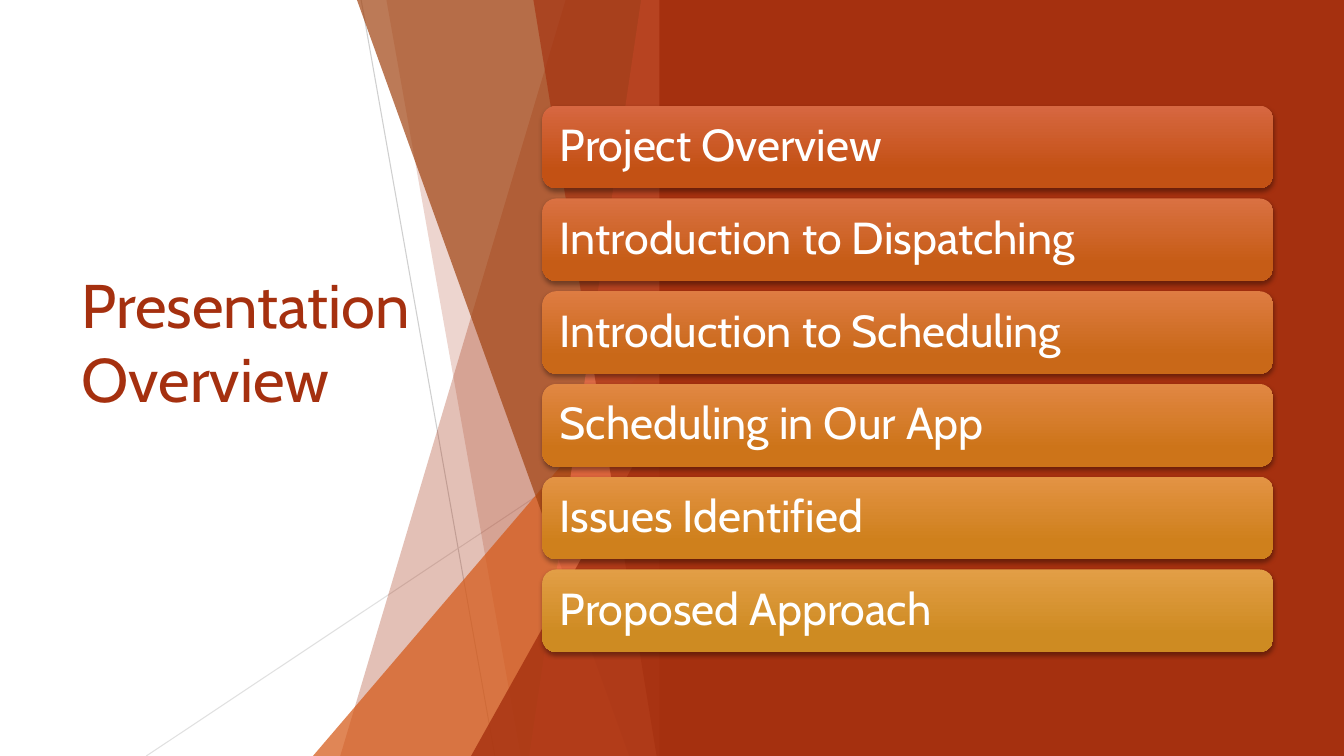
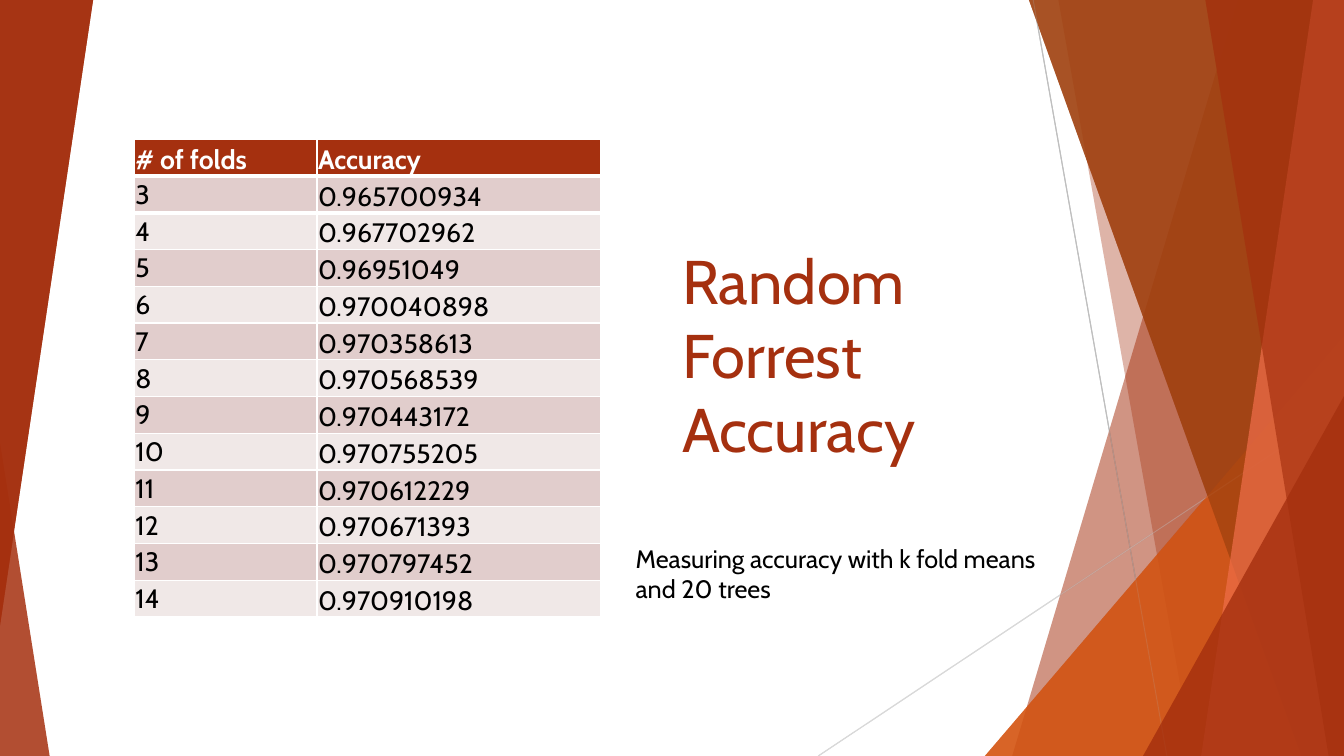
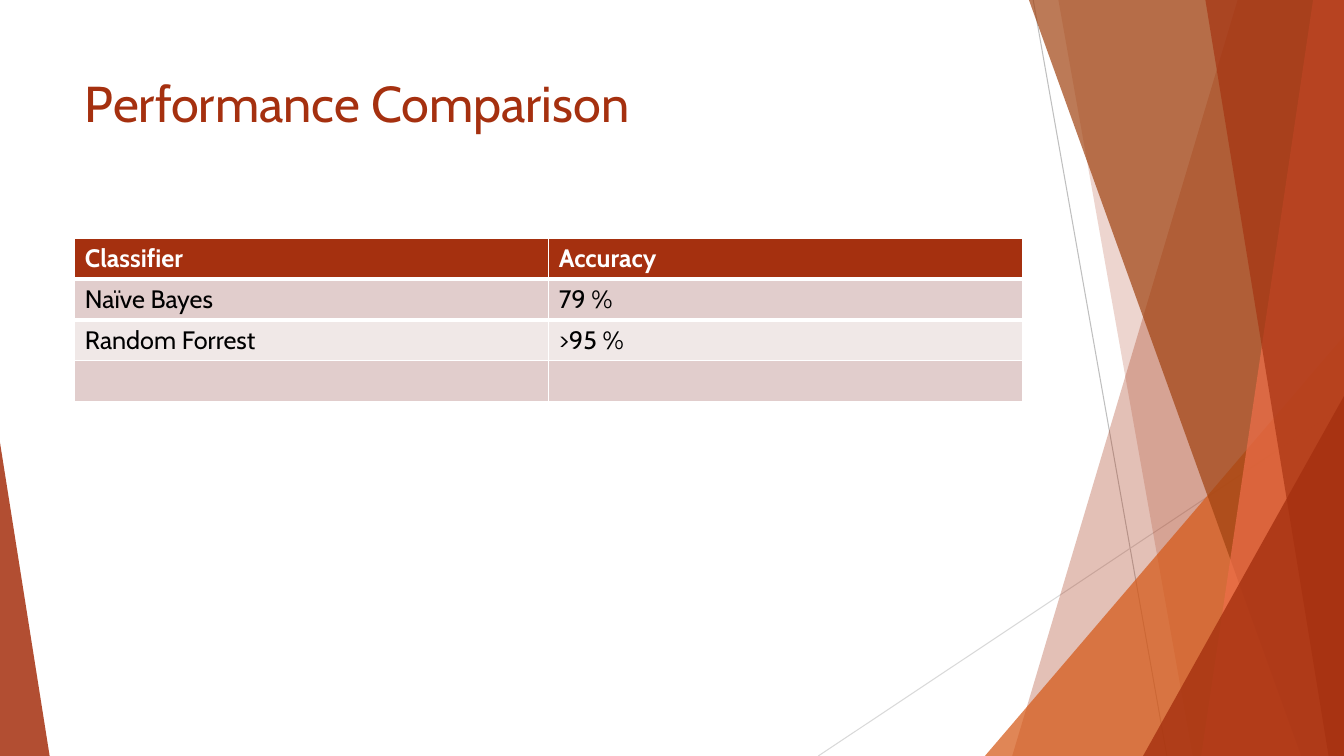
"""Build three slides on classifier accuracy with a shared faceted background."""
import lxml.etree
import pptx
import pptx.dml.color
import pptx.enum.shapes
import pptx.enum.text
import pptx.oxml.ns
import pptx.util

Pt = pptx.util.Pt
qn = pptx.oxml.ns.qn
SHAPE = pptx.enum.shapes.MSO_SHAPE
ANCHOR = pptx.enum.text.MSO_ANCHOR
LEFT = pptx.enum.text.PP_ALIGN.LEFT

WIDTH, HEIGHT = 960, 540
FONT = "Cabin"
RUST, ORANGE, BROWN, CORAL = "A5300F", "D55816", "A04210", "EE6E4A"
WHITE, BLACK = "FFFFFF", "000000"
ROW_FILLS = ("E1CDCC", "F0E8E7")
TITLE_ONLY = 5

AGENDA = [
    ("Project Overview", "D76741", "C35114"),
    ("Introduction to Dispatching", "DA7142", "C65C16"),
    ("Introduction to Scheduling", "DE7C42", "C96818"),
    ("Scheduling in Our App", "E18743", "CD7419"),
    ("Issues Identified", "E39344", "CF801C"),
    ("Proposed Approach", "E29E46", "CE8B22"),
]
FOLD_ACCURACIES = [
    "0.965700934", "0.967702962", "0.96951049", "0.970040898",
    "0.970358613", "0.970568539", "0.970443172", "0.970755205",
    "0.970612229", "0.970671393", "0.970797452", "0.970910198",
]
CLASSIFIERS = [
    ("Classifier", "Accuracy"),
    ("Naïve Bayes", "79 %"),
    ("Random Forrest", ">95 %"),
    ("", ""),
]


def color(value):
    """Turn a hex string into a colour."""
    return pptx.dml.color.RGBColor.from_string(value)


def box(*lengths):
    """Convert lengths in points."""
    return [Pt(length) for length in lengths]


def paint(fill, value, alpha=100):
    """Give a fill a solid colour with an opacity in percent."""
    fill.solid()
    fill.fore_color.rgb = color(value)
    if alpha < 100:
        for node in fill._xPr.find(qn("a:solidFill")):
            lxml.etree.SubElement(node, qn("a:alpha"), val=str(alpha * 1000))


def plain(shape, value, alpha=100):
    """Leave a shape with only a solid fill."""
    shape.shadow.inherit = False
    shape.line.fill.background()
    paint(shape.fill, value, alpha)


def format_text(frame, size, value, bold=False):
    """Align the text left and format every run."""
    frame.word_wrap = True
    for paragraph in frame.paragraphs:
        paragraph.alignment = LEFT
        for run in paragraph.runs:
            run.font.name = FONT
            run.font.size = Pt(size)
            run.font.bold = bold
            run.font.color.rgb = color(value)


def set_title(slide, text, bounds, size, anchor):
    """Fill, move and format the title placeholder."""
    title = slide.shapes.title
    title.left, title.top, title.width, title.height = box(*bounds)
    frame = title.text_frame
    frame.text = text
    frame.auto_size = pptx.enum.text.MSO_AUTO_SIZE.NONE
    frame.vertical_anchor = anchor
    format_text(frame, size, RUST)
    return frame


def add_rectangle(shapes, bounds, value):
    """Add a plain rectangle."""
    plain(shapes.add_shape(SHAPE.RECTANGLE, *box(*bounds)), value)


def add_triangle(shapes, bounds, value, alpha, apex=1, rotation=0):
    """Add a right-angled triangle."""
    triangle = shapes.add_shape(SHAPE.ISOSCELES_TRIANGLE, *box(*bounds))
    triangle.adjustments[0] = apex
    triangle.rotation = rotation
    plain(triangle, value, alpha)


def add_band(shapes, top_left, bottom_left, shift, value, alpha):
    """Add a slanted band that reaches the right edge of the facets."""
    right = WIDTH + shift
    builder = shapes.build_freeform(Pt(top_left + shift), 0)
    builder.add_line_segments([
        box(right, 0), box(right, HEIGHT), box(bottom_left + shift, HEIGHT)])
    plain(builder.convert_to_shape(), value, alpha)


def add_thin_line(shapes, ends, value, alpha):
    """Add a hairline without shadow."""
    connector = shapes.add_connector(
        pptx.enum.shapes.MSO_CONNECTOR.STRAIGHT, *box(*ends))
    connector.line.width = Pt(0.75)
    paint(connector.line.fill, value, alpha)
    lxml.etree.SubElement(connector._element.spPr, qn("a:effectLst"))


def add_facets(slide, shift=0, line_alphas=(100, 100)):
    """Add the group of translucent facets, moved sideways by shift."""
    group = slide.shapes.add_group_shape()
    shapes = group.shapes
    add_thin_line(shapes, (738 + shift, 0, 833.5 + shift, HEIGHT),
                  "BFBFBF", line_alphas[0])
    add_thin_line(shapes, (WIDTH + shift, 290, 584.5 + shift, HEIGHT),
                  "D9D9D9", line_alphas[1])
    add_band(shapes, 884, 723, shift, RUST, 30)
    add_band(shapes, 756, 852, shift, RUST, 20)
    add_triangle(shapes, (703.5 + shift, 240, 256.5, 300), ORANGE, 72)
    add_band(shapes, 735, 929.5, shift, BROWN, 70)
    add_band(shapes, 938, 858, shift, CORAL, 70)
    add_band(shapes, 861, 949, shift, RUST, 65)
    add_triangle(shapes, (816.5 + shift, 283, 143.5, 257), RUST, 80)
    return group


def set_master_background(presentation, slide):
    """Build the facets on a slide and move them to the slide master."""
    group = add_facets(slide)
    add_triangle(group.shapes, (0, 316, 35.5, 224), RUST, 85, apex=0)
    for number, node in enumerate(group._element.iter(qn("p:cNvPr")), 100):
        node.set("id", str(number))
    presentation.slide_master.shapes._spTree.insert(2, group._element)


def add_agenda_bar(slide, top, text, start, end):
    """Add one rounded bar with a gradient, a soft shadow and its text."""
    bar = slide.shapes.add_shape(
        SHAPE.ROUNDED_RECTANGLE, *box(387.5, top, 522, 59))
    bar.line.fill.background()
    bar.fill.gradient()
    bar.fill.gradient_angle = 270
    for stop, value, position in zip(
            bar.fill.gradient_stops, (start, end), (0, 0.78)):
        stop.color.rgb = color(value)
        stop.position = position
    bar.shadow.inherit = False
    shadow = lxml.etree.SubElement(
        bar._element.spPr.find(qn("a:effectLst")), qn("a:outerShdw"),
        blurRad=str(Pt(3)), dist=str(Pt(2)), dir="5400000", rotWithShape="0")
    shade = lxml.etree.SubElement(shadow, qn("a:srgbClr"), val=BLACK)
    lxml.etree.SubElement(shade, qn("a:alpha"), val="35000")
    frame = bar.text_frame
    frame.text = text
    frame.margin_left = frame.margin_right = Pt(9.5)
    frame.vertical_anchor = ANCHOR.MIDDLE
    frame.paragraphs[0].line_spacing = 0.9
    format_text(frame, 32, WHITE)


def set_edge(cell, side, width):
    """Draw one white edge of a table cell."""
    edge = lxml.etree.Element(qn(f"a:{side}"), w=str(Pt(width)))
    fill = lxml.etree.SubElement(edge, qn("a:solidFill"))
    lxml.etree.SubElement(fill, qn("a:srgbClr"), val=WHITE)
    cell._tc.get_or_add_tcPr().insert(0, edge)


def add_table(slide, rows, position, widths, row_height, size):
    """Add a table with a rust header and banded rows, and return it."""
    table = slide.shapes.add_table(
        len(rows), len(widths),
        *box(*position, sum(widths), row_height * len(rows))).table
    for column, width in zip(table.columns, widths):
        column.width = Pt(width)
    for index, values in enumerate(rows):
        table.rows[index].height = Pt(row_height)
        header = index == 0
        for cell, text in zip(table.rows[index].cells, values):
            paint(cell.fill, RUST if header else ROW_FILLS[(index - 1) % 2])
            cell.text_frame.text = text
            format_text(cell.text_frame, size,
                        WHITE if header else BLACK, header)
            if header:
                set_edge(cell, "lnB", 3)
            elif index == 1:
                set_edge(cell, "lnT", 3)
    return table


def build_overview(slide):
    """Build the agenda slide."""
    add_rectangle(slide.shapes, (0, 0, WIDTH, HEIGHT), WHITE)
    add_facets(slide, -480, (75, 80))
    add_rectangle(slide.shapes, (471, 0, 489, HEIGHT), RUST)
    frame = set_title(slide, "Presentation Overview",
                      (51, 109, 279.5, 322.5), 44, ANCHOR.MIDDLE)
    frame.margin_bottom = Pt(56.5)
    slide.shapes._spTree.append(slide.shapes.title._element)
    for index, entry in enumerate(AGENDA):
        add_agenda_bar(slide, 75.5 + 66.25 * index, *entry)


def build_fold_accuracy(slide):
    """Build the slide with the accuracy for each number of folds."""
    shapes = slide.shapes
    group = add_facets(slide)
    for target in (group.shapes, shapes):
        add_triangle(target, (0, 0, 66.5, 446.5), RUST, 85, rotation=180)
    set_title(slide, "Random Forrest\vAccuracy",
              (480, 99.5, 275, 236), 44, ANCHOR.BOTTOM)
    shapes._spTree.append(shapes.title._element)
    caption = shapes.add_textbox(*box(447, 384.5, 332, 51)).text_frame
    caption.text = "Measuring accuracy with k fold means and 20 trees"
    caption.paragraphs[0].space_after = Pt(6)
    format_text(caption, 18, BLACK)
    rows = [("# of folds", "Accuracy")]
    rows += [(str(folds), accuracy)
             for folds, accuracy in enumerate(FOLD_ACCURACIES, 3)]
    table = add_table(slide, rows, (96, 99.5), (130.5, 202.5), 26.25, 19)
    for cell in table.iter_cells():
        cell.margin_left = cell.margin_right = cell.margin_top = Pt(0.7)
        cell.margin_bottom = 0
        cell.vertical_anchor = ANCHOR.BOTTOM
    for row in list(table.rows)[1:]:
        row.cells[0].vertical_anchor = ANCHOR.MIDDLE


def build_comparison(slide):
    """Build the slide that compares the classifiers."""
    set_title(slide, "Performance Comparison",
              (53.5, 48, 677, 104), 36, ANCHOR.TOP)
    add_table(slide, CLASSIFIERS, (53.5, 170), (338.5, 338.5), 29.25, 18)


def main():
    """Build and save the presentation."""
    presentation = pptx.Presentation()
    presentation.slide_width, presentation.slide_height = box(WIDTH, HEIGHT)
    layout = presentation.slide_layouts[TITLE_ONLY]
    builders = (build_overview, build_fold_accuracy, build_comparison)
    slides = [presentation.slides.add_slide(layout) for _ in builders]
    set_master_background(presentation, slides[0])
    for build, slide in zip(builders, slides):
        build(slide)
    presentation.save("out.pptx")


if __name__ == "__main__":
    main()
